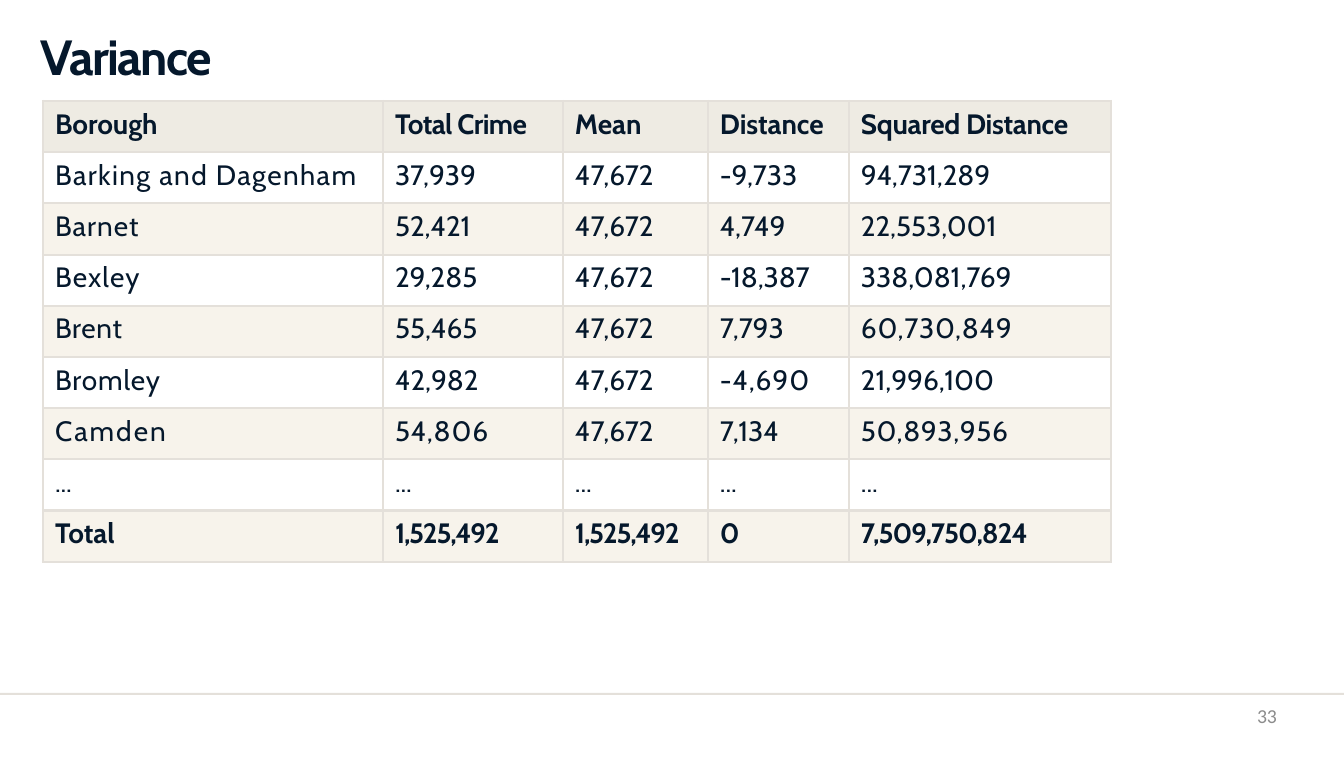
from lxml.etree import SubElement
from pptx import Presentation
from pptx.dml.color import RGBColor
from pptx.enum.shapes import MSO_SHAPE
from pptx.enum.text import MSO_ANCHOR, MSO_AUTO_SIZE, PP_ALIGN
from pptx.oxml.ns import qn
from pptx.util import Pt

EMU_PER_PX = 914400 / 79
INK, RULE, GREY = "05182C", "E4E0DA", "8C8C8C"
HEADER_FILL, BAND_FILL = "EEEBE3", "F7F3EB"

COLUMN_WIDTHS = [340, 180, 145, 141, 262]
ROWS = [
    ["Borough", "Total Crime", "Mean", "Distance", "Squared Distance"],
    ["Barking and Dagenham", "37,939", "47,672", "-9,733", "94,731,289"],
    ["Barnet", "52,421", "47,672", "4,749", "22,553,001"],
    ["Bexley", "29,285", "47,672", "-18,387", "338,081,769"],
    ["Brent", "55,465", "47,672", "7,793", "60,730,849"],
    ["Bromley", "42,982", "47,672", "-4,690", "21,996,100"],
    ["Camden", "54,806", "47,672", "7,134", "50,893,956"],
    ["..."] * 5,
    ["Total", "1,525,492", "1,525,492", "0", "7,509,750,824"],
]
DEFAULT_SPACING = -0.1
SPACING = {
    "Total Crime": -0.6, "Squared Distance": -0.3, "Barking and Dagenham": 1.25,
    "Barnet": 0.9, "Bexley": 1, "Brent": 0.6, "Bromley": 0.8, "Camden": 1.8,
    "-18,387": -0.2, "60,730,849": 0.6, "-4,690": 0.8, "54,806": 0.7,
    "50,893,956": 0.5, "1,525,492": -1.2, "0": 0.1, "7,509,750,824": -1,
}


def px(length):
    return round(length * EMU_PER_PX)


def color(hex_string):
    return RGBColor.from_string(hex_string)


class SlideBuilder:
    """Hold the text style and the current slide, and add elements to it."""

    def __init__(self, presentation):
        self.font_name = "Cabin"
        self.slide = presentation.slides.add_slide(presentation.slide_layouts[5])

    def set_text(self, frame, text, size, bold=False, spacing=0, before=0,
                 ink=INK, font_name=None, align=PP_ALIGN.LEFT):
        paragraph = frame.paragraphs[0]
        paragraph.alignment = align
        paragraph.space_before = Pt(before)
        font = paragraph.font
        font.name = font_name or self.font_name
        font.size, font.bold = Pt(size), bold
        font.color.rgb = color(ink)
        run = paragraph.add_run()
        run.text = text
        run._r.get_or_add_rPr().set("spc", str(round(spacing * 100)))
        return paragraph

    def set_frame(self, frame, top=0):
        frame.word_wrap = True
        frame.auto_size = MSO_AUTO_SIZE.SHAPE_TO_FIT_TEXT
        frame.vertical_anchor = MSO_ANCHOR.TOP
        frame.margin_left = frame.margin_right = frame.margin_bottom = 0
        frame.margin_top = px(top)

    def title(self, text, left, top, width, height):
        shape = self.slide.shapes.title
        shape.left, shape.top = px(left), px(top)
        shape.width, shape.height = px(width), px(height)
        self.set_frame(shape.text_frame, top=2)
        self.set_text(shape.text_frame, text, 45, bold=True, spacing=-1.6, before=1.1)

    def rule(self, left, top, width, height):
        shape = self.slide.shapes.add_shape(
            MSO_SHAPE.RECTANGLE, px(left), px(top), px(width), px(height))
        shape.shadow.inherit = False
        shape.fill.solid()
        shape.fill.fore_color.rgb = color(RULE)
        shape.line.fill.background()

    def page_number(self, text, left, top, width, height):
        box = self.slide.shapes.add_textbox(px(left), px(top), px(width), px(height))
        self.set_frame(box.text_frame)
        self.set_text(box.text_frame, text, 18, ink=GREY, font_name="Calibri",
                      align=PP_ALIGN.RIGHT)

    def borders(self, cell):
        properties = cell._tc.get_or_add_tcPr()
        for side in ("a:lnL", "a:lnR", "a:lnT", "a:lnB"):
            line = SubElement(properties, qn(side), w=str(Pt(2.25)))
            fill = SubElement(line, qn("a:solidFill"))
            SubElement(fill, qn("a:srgbClr"), val=RULE)

    def cell(self, cell, text, bold, fill):
        cell.margin_left = cell.margin_right = cell.margin_bottom = 0
        cell.margin_top = px(6)
        self.borders(cell)
        if fill:
            cell.fill.solid()
            cell.fill.fore_color.rgb = color(fill)
        else:
            cell.fill.background()
        paragraph = self.set_text(cell.text_frame, text, 25.5, bold=bold, before=5.9,
                                  spacing=SPACING.get(text, DEFAULT_SPACING))
        paragraph._p.get_or_add_pPr().set("marL", str(px(12)))

    def table(self, rows, widths, left, top, height):
        table = self.slide.shapes.add_table(
            len(rows), len(widths), px(left), px(top), px(sum(widths)), px(height)).table
        table.first_row = table.horz_banding = False
        for column, width in zip(table.columns, widths):
            column.width = px(width)
        last = len(rows) - 1
        for index, texts in enumerate(rows):
            table.rows[index].height = px(height / len(rows))
            banded = BAND_FILL if index % 2 == 0 else None
            fill = HEADER_FILL if index == 0 else banded
            for position, text in enumerate(texts):
                self.cell(table.cell(index, position), text, index in (0, last), fill)


def main():
    presentation = Presentation()
    presentation.slide_width, presentation.slide_height = px(1344), px(757)
    builder = SlideBuilder(presentation)
    builder.rule(0, 693, 1344, 2)
    builder.title("Variance", 41, 24, 1252, 62)
    builder.table(ROWS, COLUMN_WIDTHS, 43, 101, 461)
    builder.page_number("33", 968, 704, 309, 38)
    presentation.save("out.pptx")


if __name__ == "__main__":
    main()
